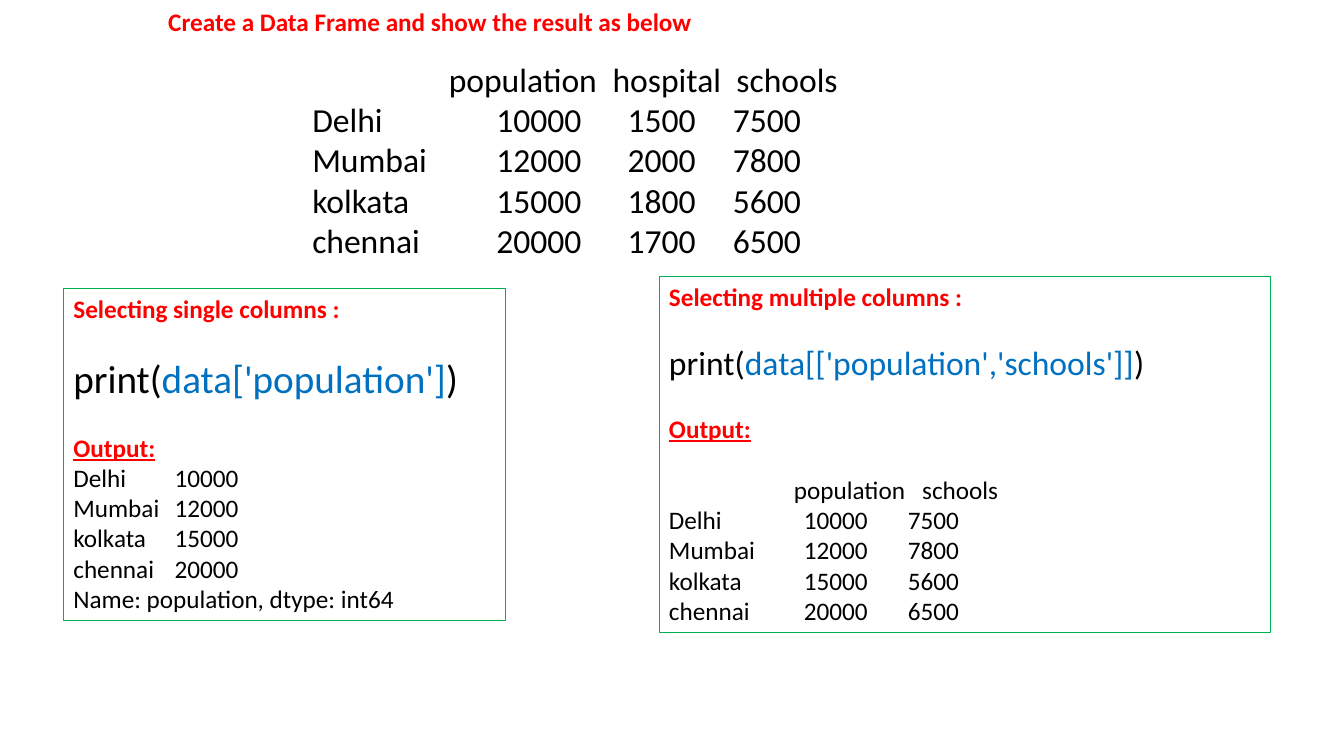
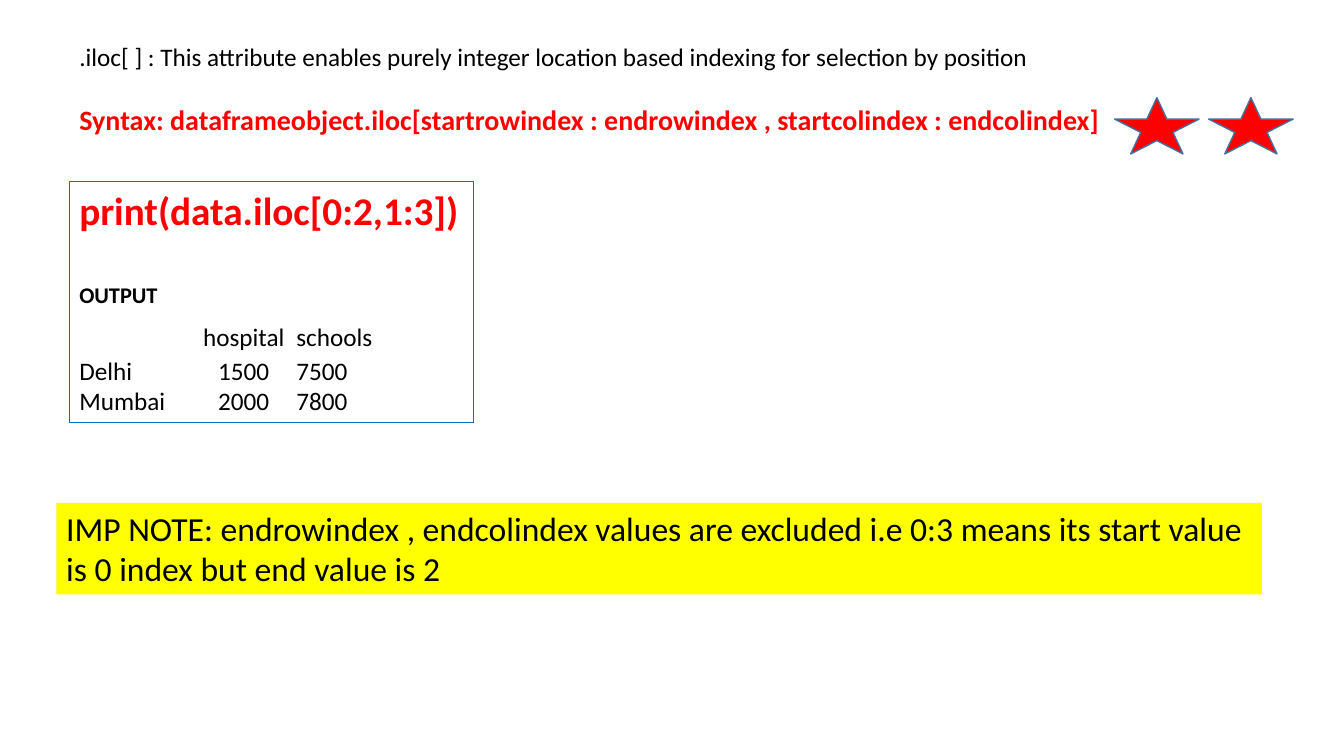
from dataclasses import dataclass

from lxml.etree import SubElement
from pptx import Presentation
from pptx.dml.color import RGBColor
from pptx.enum.shapes import MSO_SHAPE
from pptx.enum.text import MSO_ANCHOR, PP_ALIGN
from pptx.oxml.ns import qn
from pptx.util import Cm, Pt


@dataclass(frozen=True)
class Theme:
    font: str = "Calibri"
    black: str = "000000"
    red: str = "FF0000"
    blue: str = "0070C0"
    green: str = "00B050"
    yellow: str = "FFFF00"
    star_edge: str = "42719B"
    label: int = 16
    body: int = 18
    syntax: int = 20
    large: int = 24
    code: int = 28
    gap: int = 22
    code_gap: int = 34


THEME = Theme()


def line(*spans, size=THEME.body, color=THEME.black, before=0, after=0, stops=(), **style):
    spans = [span if isinstance(span, tuple) else (span, color) for span in spans]
    return dict(spans=spans, size=size, before=before, after=after, stops=stops, style=style)


def heading(text, **options):
    return line(text, color=THEME.red, bold=True, **options)


def call(argument, size):
    return line("print(", (argument, THEME.blue), ")", size=size, before=THEME.gap)


def output_label():
    return heading("Output:", before=THEME.gap, underline=True)


def rows(names, columns, stops, size=THEME.body):
    return [
        line("\t".join([name] + [str(CITIES[name][column]) for column in columns]), stops=stops, size=size)
        for name in names
    ]


def header(columns, stops, **options):
    return line("".join("\t" + column for column in columns), stops=stops, **options)


CITIES = {
    "Delhi": {"population": 10000, "hospital": 1500, "schools": 7500},
    "Mumbai": {"population": 12000, "hospital": 2000, "schools": 7800},
    "kolkata": {"population": 15000, "hospital": 1800, "schools": 5600},
    "chennai": {"population": 20000, "hospital": 1700, "schools": 6500},
}
ALL_COLUMNS = ["population", "hospital", "schools"]
TWO_COLUMNS = ["population", "schools"]
SLICE_COLUMNS = ["hospital", "schools"]

FRAME_TABLE = [
    header(ALL_COLUMNS, (3.44, 7.57, 10.69), size=THEME.large),
    *rows(CITIES, ALL_COLUMNS, (4.64, 7.95, 10.6), THEME.large),
]
SINGLE_COLUMN = [
    heading("Selecting single columns :"),
    call("data['population']", THEME.code),
    output_label(),
    *rows(CITIES, ["population"], (2.55,)),
    line("Name: population, dtype: int64"),
]
MULTIPLE_COLUMNS = [
    heading("Selecting multiple columns :"),
    call("data[['population','schools']]", THEME.large),
    output_label(),
    header(TWO_COLUMNS, (3.15, 6.38), before=THEME.gap),
    *rows(CITIES, TWO_COLUMNS, (3.4, 6.02)),
]
ILOC_INTRO = [
    line(".iloc[ ] : This attribute enables purely integer location based indexing for selection by position"),
    heading(
        "Syntax: dataframeobject.iloc[startrowindex : endrowindex , startcolindex : endcolindex]",
        size=THEME.syntax,
        before=THEME.gap,
    ),
]
ILOC_EXAMPLE = [
    heading("print(data.iloc[0:2,1:3])", size=THEME.code),
    line("OUTPUT", size=THEME.label, before=THEME.code_gap, bold=True),
    header(SLICE_COLUMNS, (3.12, 5.47), before=9.5, after=2.5),
    *rows(["Delhi", "Mumbai"], SLICE_COLUMNS, (3.5, 5.47)),
]
NOTE = [
    line(
        "IMP NOTE: endrowindex , endcolindex values are excluded i.e 0:3 means its start value "
        "is 0 index but end value is 2",
        size=THEME.large,
    )
]

SLIDES = [
    [
        dict(at=(7.62, 1.35, 16.94, 5.4), lines=FRAME_TABLE),
        dict(at=(1.6, 7.26, 11.13, 8.38), lines=SINGLE_COLUMN, edge=THEME.green),
        dict(at=(16.61, 6.96, 15.42, 8.97), lines=MULTIPLE_COLUMNS, edge=THEME.green),
        dict(at=(3.99, 0.03, 14, 1.02), lines=[heading("Create a Data Frame and show the result as below")]),
    ],
    [
        dict(at=(1.75, 4.57, 10.19, 6.07), lines=ILOC_EXAMPLE, edge=THEME.blue),
        dict(at=(1.75, 0.91, 26.6, 3.43), lines=ILOC_INTRO),
        dict(at=(1.42, 12.67, 30.38, 2.31), lines=NOTE, fill=THEME.yellow),
        *[
            dict(
                at=(28.09 + index * 2.37, 2.46, 2.13, 1.42),
                preset=MSO_SHAPE.STAR_5_POINT,
                fill=THEME.red,
                edge=THEME.star_edge,
                weight=1,
            )
            for index in range(2)
        ],
    ],
]


def write_line(para, content):
    para.alignment = PP_ALIGN.LEFT
    if content["stops"]:
        tabs = SubElement(para._p.get_or_add_pPr(), qn("a:tabLst"))
        for stop in content["stops"]:
            SubElement(tabs, qn("a:tab"), pos=str(Cm(stop)), algn="l")
    para.space_before = Pt(content["before"])
    para.space_after = Pt(content["after"])
    para.font.name = THEME.font
    para.font.size = Pt(content["size"])
    para.font.bold = content["style"].get("bold", False)
    para.font.underline = content["style"].get("underline", False)
    for text, color in content["spans"]:
        span = para.add_run()
        span.text = text
        span.font.color.rgb = RGBColor.from_string(color)


def add_box(page, at, lines=(), fill=None, edge=None, weight=0.75, preset=MSO_SHAPE.RECTANGLE):
    place = [Cm(length) for length in at]
    if fill or edge:
        box = page.shapes.add_shape(preset, *place)
        box.shadow.inherit = False
    else:
        box = page.shapes.add_textbox(*place)
    if fill:
        box.fill.solid()
        box.fill.fore_color.rgb = RGBColor.from_string(fill)
    else:
        box.fill.background()
    if edge:
        box.line.color.rgb = RGBColor.from_string(edge)
        box.line.width = Pt(weight)
    else:
        box.line.fill.background()
    frame = box.text_frame
    frame.word_wrap = True
    frame.vertical_anchor = MSO_ANCHOR.TOP
    for index, content in enumerate(lines):
        para = frame.add_paragraph() if index else frame.paragraphs[0]
        write_line(para, content)


def main():
    deck = Presentation()
    deck.slide_width, deck.slide_height = Cm(33.87), Cm(19.05)
    for boxes in SLIDES:
        page = deck.slides.add_slide(deck.slide_layouts[6])
        for box in boxes:
            add_box(page, **box)
    deck.save("out.pptx")


if __name__ == "__main__":
    main()
